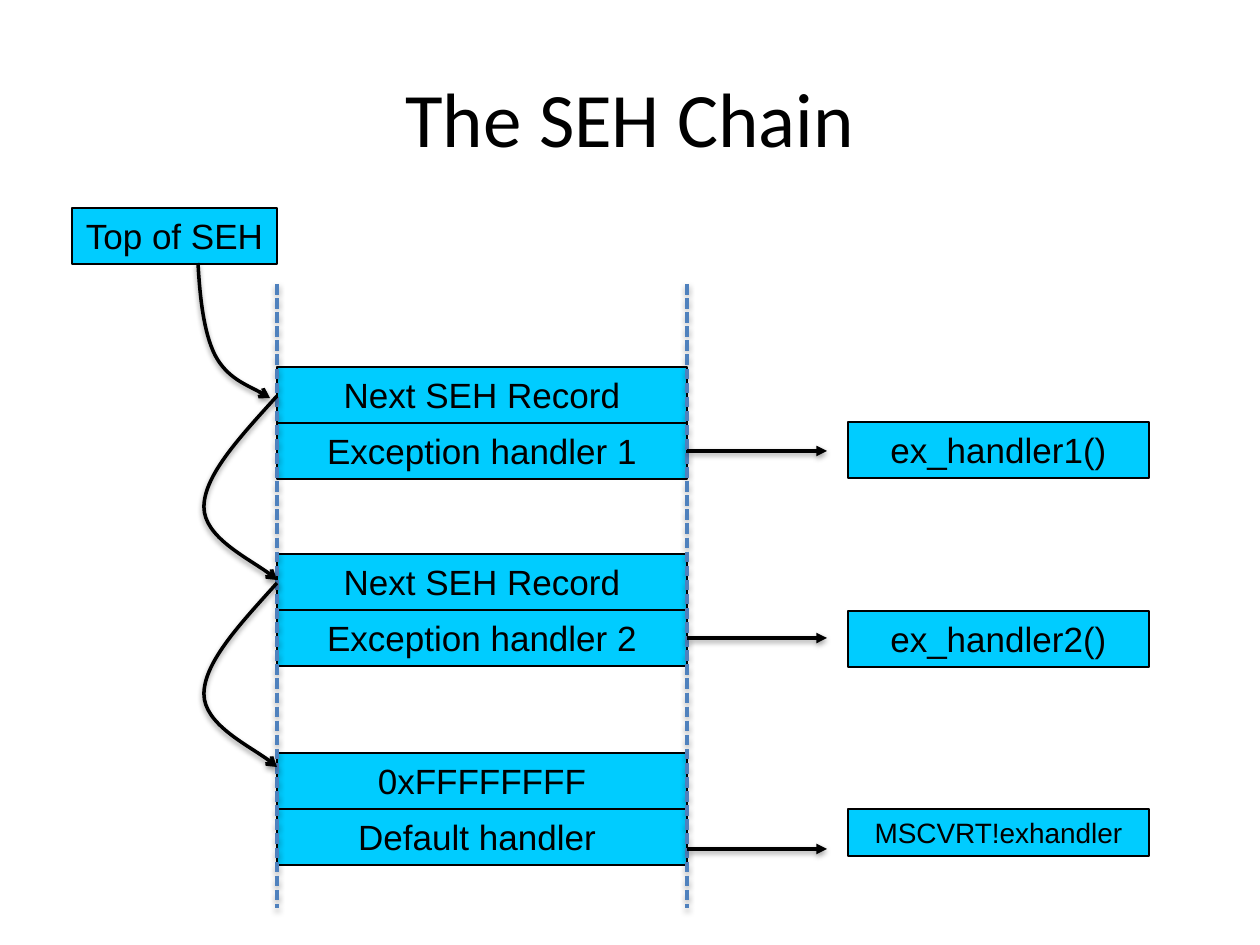
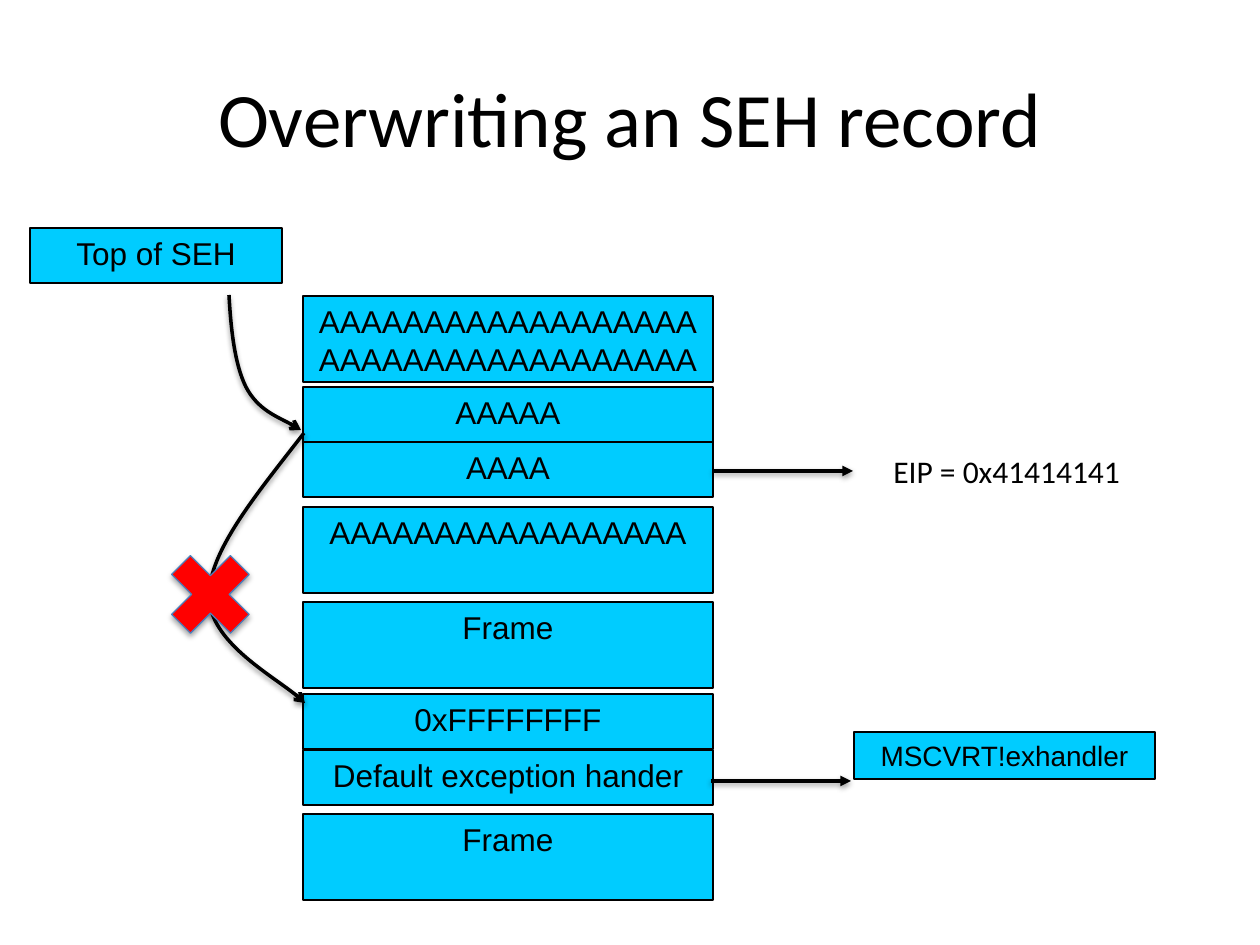
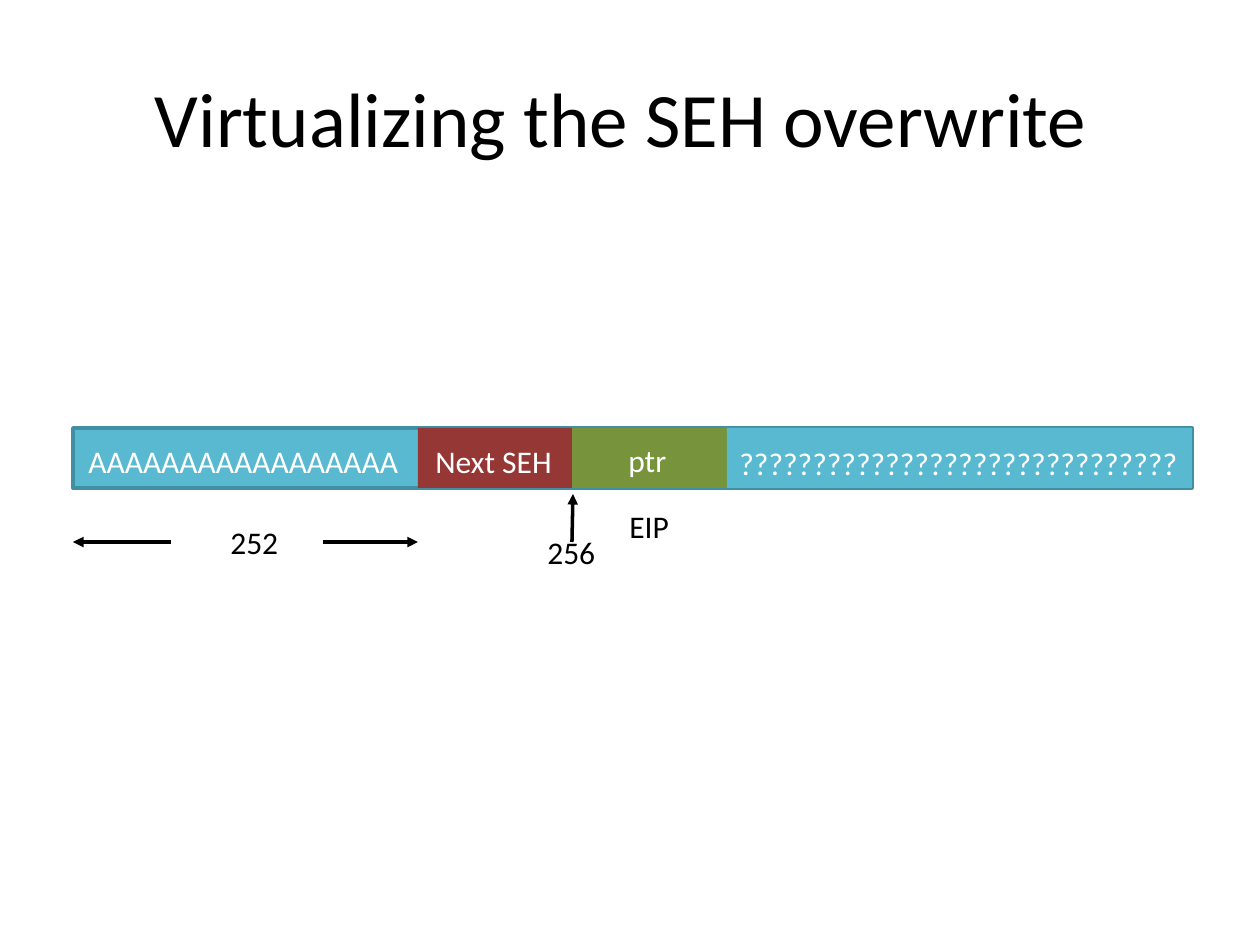
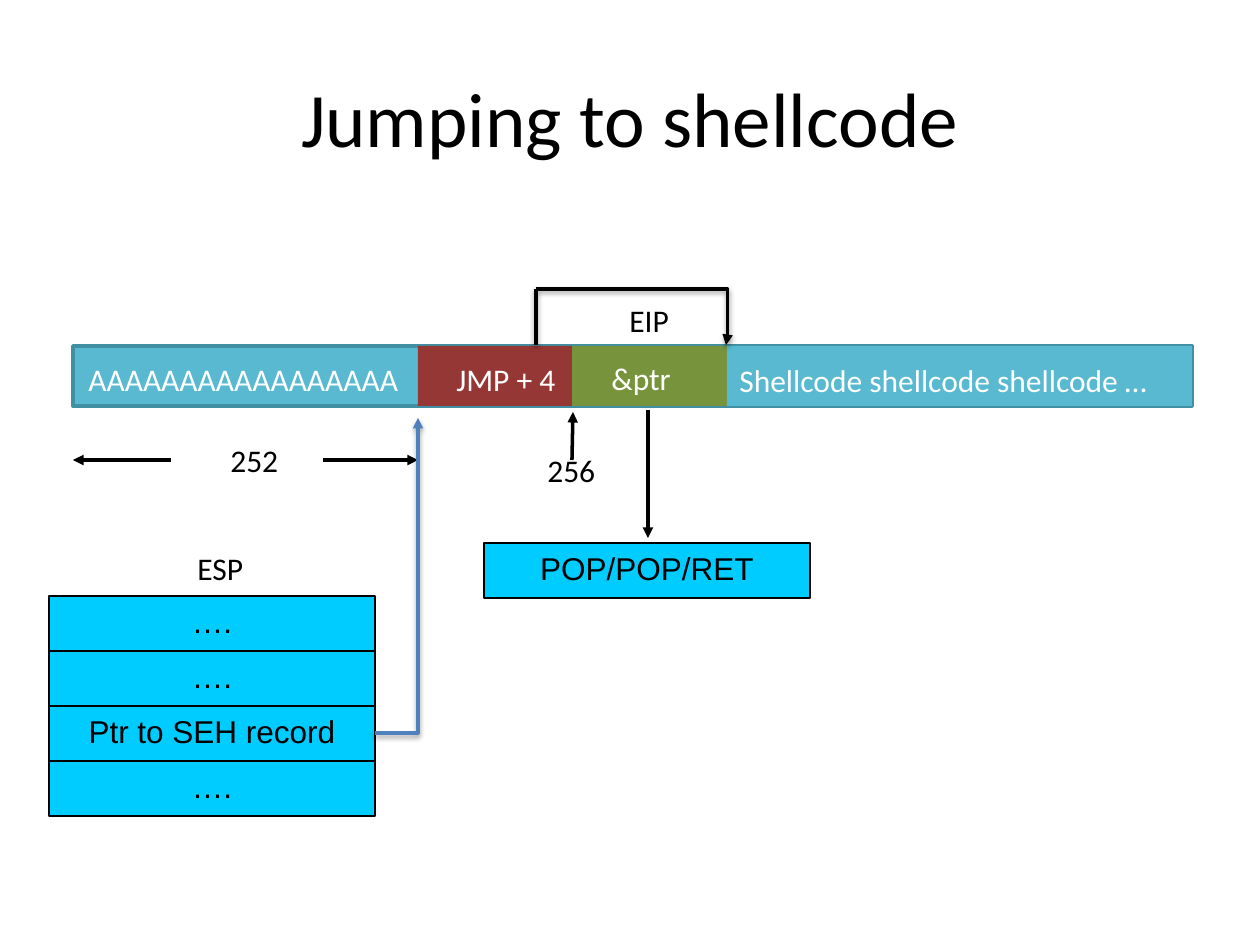
from lxml.etree import SubElement
from pptx import Presentation
from pptx.dml.color import RGBColor
from pptx.enum.dml import MSO_LINE
from pptx.enum.shapes import MSO_CONNECTOR, MSO_SHAPE
from pptx.enum.text import MSO_ANCHOR, MSO_AUTO_SIZE, PP_ALIGN
from pptx.oxml.ns import qn
from pptx.util import Emu, Pt

# Content: lengths in px, 126 to the inch
W, H = 1260, 945
EMU_PER_PX = 914400 / 126
COLORS = {
    "black": "000000", "white": "FFFFFF", "box": "00CCFF", "blue": "4F81BD",
    "cross": "FF0000", "cross_edge": "4B7EBC", "teal": "59B9D0",
    "teal_edge": "418FA2", "red": "953735", "green": "77933C",
}
ROW = 56           # height of a record row on the chain slide
SLIM = 55          # height of a single box on the other slides
TALL = 86          # height of a stack frame
LABEL = 50         # height of a one-line label

CHAIN = [          # top of record, its two rows
    (367, ("Next SEH Record", "Exception handler 1")),
    (554, ("Next SEH Record", "Exception handler 2")),
    (753, ("0xFFFFFFFF", "Default handler ")),
]
HANDLERS = [       # text, top, height, size, y of the arrow
    ("ex_handler1()", 422, ROW, 20, 451),
    ("ex_handler2()", 611, ROW, 20, 638),
    ("MSCVRT!exhandler", 809, 47, 16, 849),
]
STACK = [          # text, top, height
    ("A" * 36, 296, TALL), ("A" * 5, 387, SLIM), ("A" * 4, 442, SLIM),
    ("A" * 17, 507, TALL), ("Frame", 602, TALL), ("0xFFFFFFFF", 694, SLIM),
    ("Default exception hander", 750, SLIM), ("Frame", 814, TALL),
]
ESP_ROWS = ["….", "….", "Ptr to SEH record", "…."]

# Curves: a start point, then three points for each Bezier piece
TOP_CURVE = [(198, 263), (200, 299), (204, 333), (215, 355),
             (227, 378), (260, 391), (270, 398)]
NEXT_CURVE = [(277, 396), (241, 436), (204, 475), (204, 507),
              (204, 537), (263, 566), (277, 580)]
BROKEN_CURVE = [(304, 433), (256, 495), (209, 551), (209, 596),
                (209, 641), (287, 684), (305, 703)]

# Buffer bar: edges of its four segments
EDGES = [73, 418, 572, 727, 1192]
BAR_H = 60
BAR_FILLS = ["teal", "red", "green", "teal"]


def px(n):
    return Emu(round(n * EMU_PER_PX))


def rgb(name):
    return RGBColor.from_string(COLORS[name])


def write(tf, text, size=18, font="Calibri", color="black",
          align=PP_ALIGN.LEFT, anchor=MSO_ANCHOR.TOP, wrap=True):
    tf.word_wrap = wrap
    tf.vertical_anchor = anchor
    p = tf.paragraphs[0]
    p.alignment = align
    r = p.add_run()
    r.text = text
    r.font.size, r.font.name = Pt(size), font
    r.font.color.rgb = rgb(color)


def effects(shape, shadow=None):
    """Replace the theme effect; shadow is an opacity in percent."""
    lst = SubElement(shape._element.spPr, qn("a:effectLst"))
    if shadow:
        outer = SubElement(lst, qn("a:outerShdw"), blurRad="40000",
                           dist="20000", dir="5400000", rotWithShape="0")
        clr = SubElement(outer, qn("a:srgbClr"), val=COLORS["black"])
        SubElement(clr, qn("a:alpha"), val=str(shadow * 1000))


def stroke(shape, color="black", width=2, dash=None, tail=None, shadow=None):
    line = shape.line
    line.color.rgb, line.width = rgb(color), Pt(width)
    if dash:
        line.dash_style = dash
    if tail:
        ln = shape._element.spPr.find(qn("a:ln"))
        SubElement(ln, qn("a:tailEnd"), type=tail)
    effects(shape, shadow)


def label(s, text, x, y, w, h=LABEL, fit=True, wrap=False, **fmt):
    tf = s.shapes.add_textbox(px(x), px(y), px(w), px(h)).text_frame
    write(tf, text, wrap=wrap, **fmt)
    if fit:
        tf.auto_size = MSO_AUTO_SIZE.SHAPE_TO_FIT_TEXT


def shape(s, x, y, w, h, fill=None, edge=None, width=0.75, shadow=None,
          kind=MSO_SHAPE.RECTANGLE):
    sp = s.shapes.add_shape(kind, px(x), px(y), px(w), px(h))
    if fill:
        sp.fill.solid()
        sp.fill.fore_color.rgb = rgb(fill)
    else:
        sp.fill.background()
    if edge:
        stroke(sp, edge, width, shadow=shadow)
    else:
        sp.line.fill.background()
        effects(sp)
    return sp


def box(s, text, x, y, w, h=SLIM, size=18):
    sp = shape(s, x, y, w, h, "box", "black")
    write(sp.text_frame, text, size=size, font="Arial", align=PP_ALIGN.CENTER)


def line(s, x1, y1, x2, y2, kind=MSO_CONNECTOR.STRAIGHT, **fmt):
    c = s.shapes.add_connector(kind, px(x1), px(y1), px(x2), px(y2))
    stroke(c, **fmt)
    return c


def arrow(s, *ends, **fmt):
    return line(s, *ends, tail="triangle", **fmt)


def curve(s, points, dx=0, dy=0):
    pts = [(px(x + dx), px(y + dy)) for x, y in points]
    fb = s.shapes.build_freeform(*pts[0])
    fb.add_line_segments(pts[1:], close=False)
    sp = fb.convert_to_shape()
    sp.fill.background()
    # Turn each three line steps into one cubic Bezier
    outline = next(sp._element.iter(qn("a:path")))
    steps = outline.findall(qn("a:lnTo"))
    for i in range(0, len(steps), 3):
        bez = SubElement(outline, qn("a:cubicBezTo"))
        for step in steps[i:i + 3]:
            bez.append(step[0])
            outline.remove(step)
    stroke(sp, tail="arrow", shadow=38)


def new_slide(prs, title):
    s = prs.slides.add_slide(prs.slide_layouts[6])
    label(s, title, 63, 38, 1134, 158, fit=False, wrap=True, size=44,
          align=PP_ALIGN.CENTER, anchor=MSO_ANCHOR.MIDDLE)
    return s


def buffer_bar(s, top, labels, eip_top):
    """Four-part buffer; labels are (text, x, offset from top, width)."""
    for i, fill in enumerate(BAR_FILLS):
        shape(s, EDGES[i], top, EDGES[i + 1] - EDGES[i], BAR_H, fill)
        if i == 0:     # the frame lies above the first segment only
            shape(s, EDGES[0], top, EDGES[-1] - EDGES[0], BAR_H,
                  edge="teal_edge", width=2)
    for i, (text, x, dy, w) in enumerate(labels):
        label(s, text, x, top + dy, w, wrap=i == 3, color="white")
    # Offsets into the buffer
    y = top + 114
    arrow(s, 171, y, EDGES[0], y)
    label(s, "252", 218, top + 89, 74)
    arrow(s, 323, y, EDGES[1], y)
    arrow(s, EDGES[2], y, EDGES[2] + 1, top + 66)
    label(s, "256", 535, top + 99, 74)
    label(s, "EIP", 617, eip_top, 66)


def chain_slide(prs):
    s = new_slide(prs, "The SEH Chain")
    left, width = 277, 410
    right = left + width
    for top, rows in CHAIN:
        for i, text in enumerate(rows):
            box(s, text, left, top + i * ROW, width, ROW, 20)
    for x in (left, right):
        line(s, x, 284, x, 908, color="blue", dash=MSO_LINE.SQUARE_DOT,
             shadow=38)
    box(s, "Top of SEH", 72, 208, 205, ROW, 20)
    curve(s, NEXT_CURVE)
    curve(s, NEXT_CURVE, dy=187)
    curve(s, TOP_CURVE)
    for text, top, h, size, y in HANDLERS:
        box(s, text, 848, top, 301, h, size)
        arrow(s, right, y, right + 140, y, shadow=38)


def overwrite_slide(prs):
    s = new_slide(prs, "Overwriting an SEH record")
    for text, top, h in STACK:
        box(s, text, 303, top, 410, h)
    box(s, "Top of SEH", 30, 228, 252)
    curve(s, BROKEN_CURVE)
    curve(s, TOP_CURVE, dx=31, dy=32)
    box(s, "MSCVRT!exhandler", 854, 732, 301, 47, 16)
    for x, y in ((713, 471), (711, 781)):
        arrow(s, x, y, x + 140, y, shadow=38)
    label(s, "EIP = 0x41414141", 881, 446, 255)
    shape(s, 154, 538, 113, 113, "cross", "cross_edge", shadow=35,
          kind=MSO_SHAPE.MATH_MULTIPLY)


def virtualizing_slide(prs):
    s = new_slide(prs, "Virtualizing the SEH overwrite ")
    buffer_bar(s, 428, [("A" * 17, 76, 8, 339), ("Next SEH", 423, 8, 144),
                        ("ptr", 616, 7, 64), ("?" * 30, 727, 10, 465)], 501)


def shellcode_slide(prs):
    s = new_slide(prs, "Jumping to shellcode")
    buffer_bar(s, 346, [("A" * 17, 76, 8, 339), ("JMP + 4", 444, 8, 126),
                        ("&ptr", 599, 7, 86),
                        ("Shellcode shellcode shellcode …", 727, 9, 465)], 295)
    for i, text in enumerate(ESP_ROWS):
        box(s, text, 49, 596 + i * SLIM, 326)
    # Pointer from the stack back to the record
    c = arrow(s, 375, 733, 418, 418, kind=MSO_CONNECTOR.ELBOW, color="blue",
              shadow=38)
    c._element.spPr.find(qn("a:prstGeom")).set("prst", "bentConnector2")
    label(s, "ESP", 185, 543, 72)
    # Jump over the handler pointer
    c = arrow(s, 536, 289, 726, 345, kind=MSO_CONNECTOR.ELBOW, shadow=38)
    guides = next(c._element.iter(qn("a:avLst")))
    SubElement(guides, qn("a:gd"), name="adj1", fmla="val 100800")
    line(s, 536, 289, 536, 345, shadow=38)
    arrow(s, 648, 410, 648, 538)
    box(s, "POP/POP/RET", 484, 543, 326)


def main():
    prs = Presentation()
    prs.slide_width, prs.slide_height = px(W), px(H)
    for build in (chain_slide, overwrite_slide, virtualizing_slide,
                  shellcode_slide):
        build(prs)
    prs.save("out.pptx")


if __name__ == "__main__":
    main()
